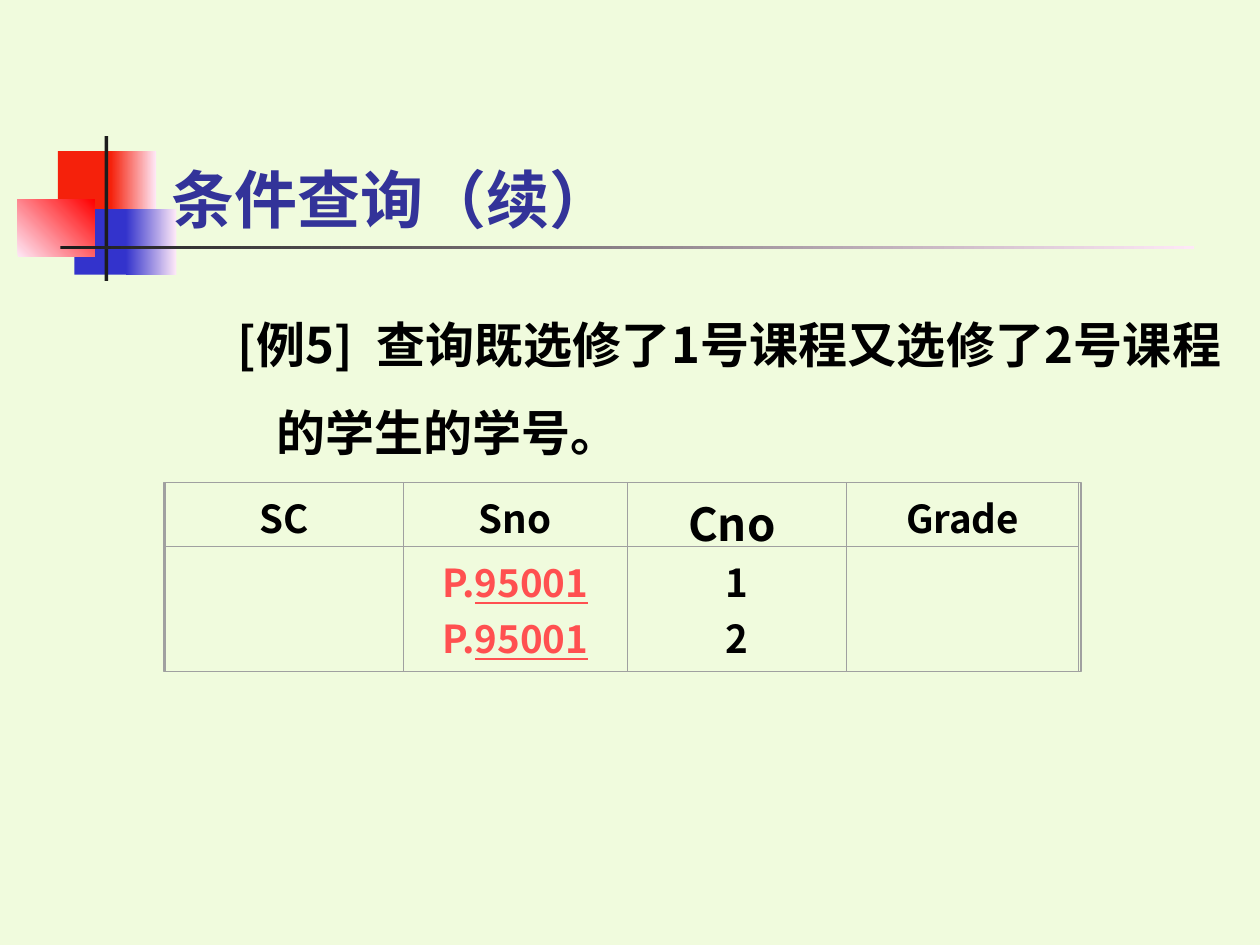
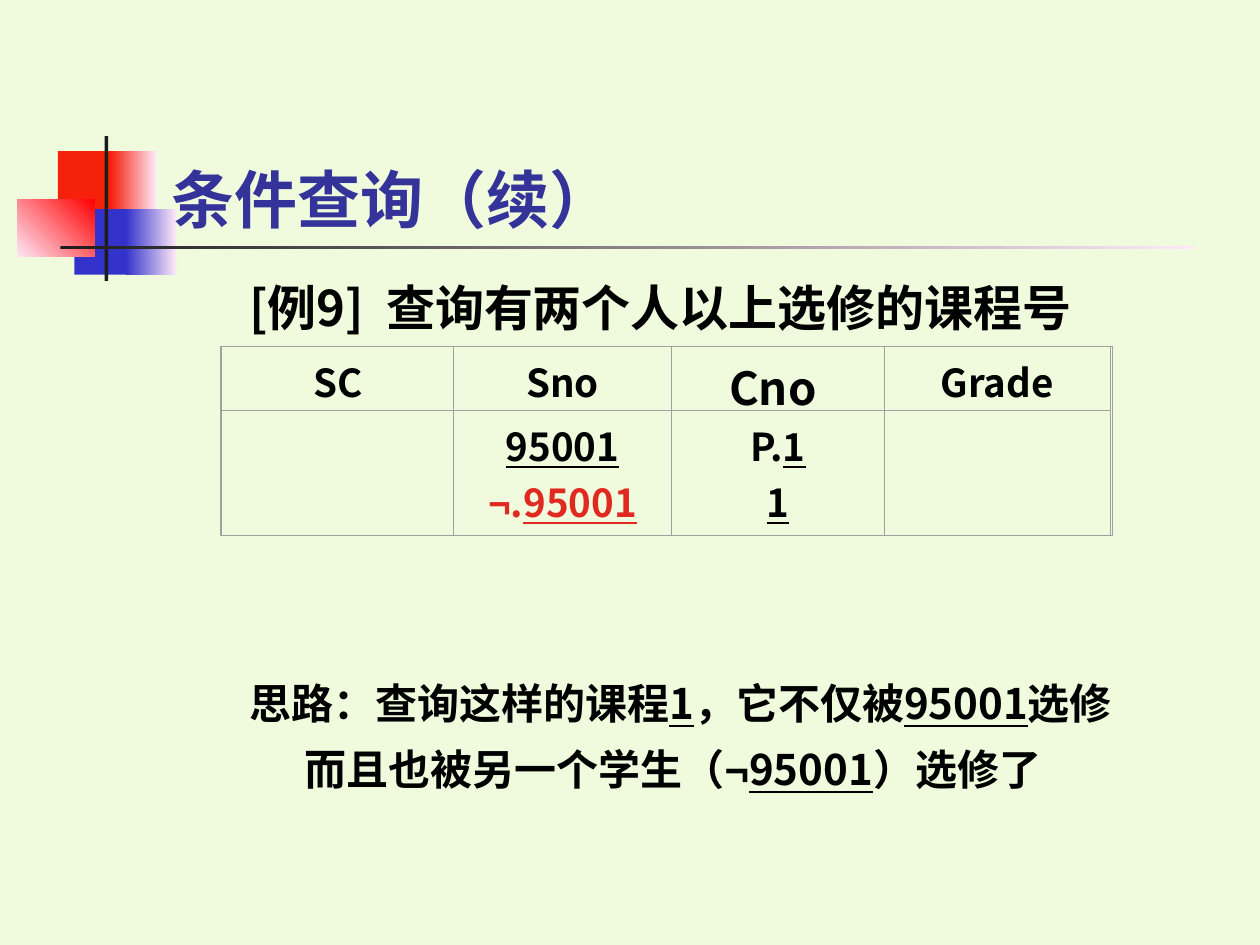
from dataclasses import dataclass

import pptx
import pptx.dml.color
import pptx.enum.shapes
import pptx.enum.text
import pptx.oxml.ns
import pptx.util
from lxml import etree
from pptx.util import Inches

ALIGN = pptx.enum.text.PP_ALIGN
ANCHOR = pptx.enum.text.MSO_ANCHOR
RECTANGLE = pptx.enum.shapes.MSO_SHAPE.RECTANGLE
qualified = pptx.oxml.ns.qn


@dataclass(frozen=True)
class Theme:
    background: str = "F0FBDD"
    red: str = "F5210B"
    bright_red: str = "FF0000"
    blue: str = "3333CC"
    pink: str = "FEE8F7"
    dark: str = "1C1C1C"
    title: str = "333399"
    text: str = "000000"
    answer: str = "FF5050"
    negation: str = "E02920"
    grid: str = "A0A0A0"
    font: str = "Noto Sans CJK SC"
    symbol_font: str = "Arial"
    title_size: int = 36
    body_size: int = 28
    note_size: int = 24
    big_header_size: int = 26
    cell_size: int = 22
    grid_width: float = 0.5
    frame_width: float = 0.88


def rgb(color):
    return pptx.dml.color.RGBColor.from_string(color)


def run(text, **style):
    """Describe a run: its text and whatever differs from the plain style."""
    return text, style


class Deck:
    def __init__(self, theme):
        self.theme = theme
        self.presentation = pptx.Presentation()
        self.presentation.slide_width = Inches(10)
        self.presentation.slide_height = Inches(7.5)
        self.slide = None

    def add_slide(self, title):
        theme = self.theme
        layout = self.presentation.slide_layouts[6]
        self.slide = self.presentation.slides.add_slide(layout)
        fill = self.slide.background.fill
        fill.solid()
        fill.fore_color.rgb = rgb(theme.background)
        self.ornament()
        frame = self.text_box(1.26, 0.67, 8.52, 1.25, ANCHOR.BOTTOM)
        self.add_runs(frame.paragraphs[0], [run(title, color=theme.title)],
                      theme.title_size)

    def ornament(self):
        """Overlapping squares and the fading rule behind the title."""
        theme = self.theme
        self.rectangle(0.46, 1.2, 0.48, 0.52, theme.red)
        self.rectangle(0.88, 1.2, 0.36, 0.52, theme.red, theme.pink)
        self.rectangle(0.59, 1.66, 0.46, 0.52, theme.blue)
        self.rectangle(1, 1.66, 0.4, 0.52, theme.blue, theme.pink)
        self.rectangle(0.14, 1.58, 0.61, 0.46, theme.pink, theme.bright_red, 45)
        self.rectangle(0.83, 1.08, 0.03, 1.15, theme.dark)
        self.rectangle(0.48, 1.95, 9, 0.03, theme.dark, theme.pink)

    def rectangle(self, left, top, width, height, color=None, end_color=None, angle=0):
        """Plain, fading (with end_color) or, without a colour, outlined."""
        shape = self.slide.shapes.add_shape(
            RECTANGLE, Inches(left), Inches(top), Inches(width), Inches(height))
        shape.shadow.inherit = False
        if color is None:
            shape.fill.background()
            shape.line.color.rgb = rgb(self.theme.grid)
            shape.line.width = pptx.util.Pt(self.theme.frame_width)
            return
        shape.line.fill.background()
        if end_color:
            shape.fill.gradient()
            shape.fill.gradient_angle = angle
            for stop, stop_color in zip(shape.fill.gradient_stops, (color, end_color)):
                stop.color.rgb = rgb(stop_color)
        else:
            shape.fill.solid()
            shape.fill.fore_color.rgb = rgb(color)

    def text_box(self, left, top, width, height, anchor=ANCHOR.TOP):
        box = self.slide.shapes.add_textbox(
            Inches(left), Inches(top), Inches(width), Inches(height))
        frame = box.text_frame
        frame.word_wrap = True
        frame.vertical_anchor = anchor
        return frame

    def add_runs(self, paragraph, runs, size, align=ALIGN.LEFT):
        paragraph.alignment = align
        for text, style in runs:
            piece = paragraph.add_run()
            piece.text = text
            font = piece.font
            font.name = style.get("font", self.theme.font)
            font.size = pptx.util.Pt(size)
            font.bold = True
            font.underline = style.get("underline", False)
            font.color.rgb = rgb(style.get("color", self.theme.text))
            properties = piece._r.get_or_add_rPr()
            if "spacing" in style:
                properties.set("spc", str(style["spacing"]))
            etree.SubElement(properties, qualified("a:ea"), typeface=font.name)

    def body(self, top, height, lines, size, line_spacing, space_before):
        """Add justified lines, each given as (margin, indent, runs)."""
        frame = self.text_box(1.29, top, 8.5, height)
        for index, (margin, indent, runs) in enumerate(lines):
            paragraph = frame.add_paragraph() if index else frame.paragraphs[0]
            paragraph.line_spacing = line_spacing
            paragraph.space_before = pptx.util.Pt(space_before)
            properties = paragraph._p.get_or_add_pPr()
            properties.set("marL", str(Inches(margin)))
            properties.set("indent", str(Inches(indent)))
            self.add_runs(paragraph, runs, size, ALIGN.JUSTIFY)

    def example(self, number, question, margin, line_spacing):
        # The wide single space sets the label apart from the question.
        runs = [run(f"[例{number}]"), run(" ", spacing=630), run(question)]
        self.body(2.21, 1.6, [(margin, -0.31, runs)],
                  self.theme.body_size, line_spacing, 7)

    def query_table(self, left, top, column_widths, conditions):
        """Draw the SC relation; conditions maps a column to its lines of runs."""
        theme = self.theme
        row_heights = (0.51, 0.99)
        width, height = sum(column_widths), sum(row_heights)
        table = self.slide.shapes.add_table(
            2, len(column_widths), Inches(left), Inches(top),
            Inches(width), Inches(height)).table
        table.first_row = table.horz_banding = False
        for row, row_height in zip(table.rows, row_heights):
            row.height = Inches(row_height)
        headers = ("SC", "Sno", "Cno ", "Grade")
        for column, (header, column_width) in enumerate(zip(headers, column_widths)):
            table.columns[column].width = Inches(column_width)
            header_size = theme.big_header_size if header == "Cno " else theme.cell_size
            self.cell(table.cell(0, column), [[run(header)]], header_size)
            self.cell(table.cell(1, column), conditions.get(header.strip(), []),
                      theme.cell_size)
        self.rectangle(left - 0.01, top, width + 0.03, height)

    def cell(self, cell, lines, size):
        cell.margin_left = cell.margin_right = Inches(0.1)
        cell.margin_top, cell.margin_bottom = Inches(0.05), 0
        properties = cell._tc.get_or_add_tcPr()
        for side in ("lnL", "lnR", "lnT", "lnB"):
            border = etree.SubElement(properties, qualified(f"a:{side}"),
                                      w=str(pptx.util.Pt(self.theme.grid_width)))
            fill = etree.SubElement(border, qualified("a:solidFill"))
            etree.SubElement(fill, qualified("a:srgbClr"), val=self.theme.grid)
        cell.fill.background()
        frame = cell.text_frame
        for index, runs in enumerate(lines):
            paragraph = frame.add_paragraph() if index else frame.paragraphs[0]
            self.add_runs(paragraph, runs, size, ALIGN.CENTER)


def add_both_courses_slide(deck):
    color = deck.theme.answer
    deck.add_slide("条件查询（续）")
    deck.example(5, "查询既选修了1号课程又选修了2号课程的学生的学号。", 0.81, 1.5)
    printed_number = [run("P.", color=color), run("95001", color=color, underline=True)]
    deck.query_table(1.31, 3.83, (1.89, 1.78, 1.74, 1.84), {
        "Sno": [printed_number, printed_number],
        "Cno": [[run("1")], [run("2")]],
    })


def add_two_students_slide(deck):
    theme = deck.theme
    course = run("1", underline=True)
    student = run("95001", underline=True)
    deck.add_slide("条件查询（续）")
    deck.example(9, "查询有两个人以上选修的课程号", 0.9, 0.9)
    deck.query_table(1.76, 2.75, (1.84, 1.73, 1.69, 1.79), {
        "Sno": [[student],
                [run("¬", font=theme.symbol_font, color=theme.negation),
                 run(".", color=theme.negation),
                 run("95001", color=theme.negation, underline=True)]],
        "Cno": [[run("P."), course], [course]],
    })
    deck.body(5.29, 1.2, [
        (0.9, -0.31, [run("思路：查询这样的课程"), course, run("，它不仅被"),
                      student, run("选修")]),
        (1.03, 0, [run("而且也被另一个学生（"), run("¬", font=theme.symbol_font),
                   student, run("）选修了")]),
    ], theme.note_size, 1.1, 6)


def main():
    deck = Deck(Theme())
    add_both_courses_slide(deck)
    add_two_students_slide(deck)
    deck.presentation.save("out.pptx")


if __name__ == "__main__":
    main()
